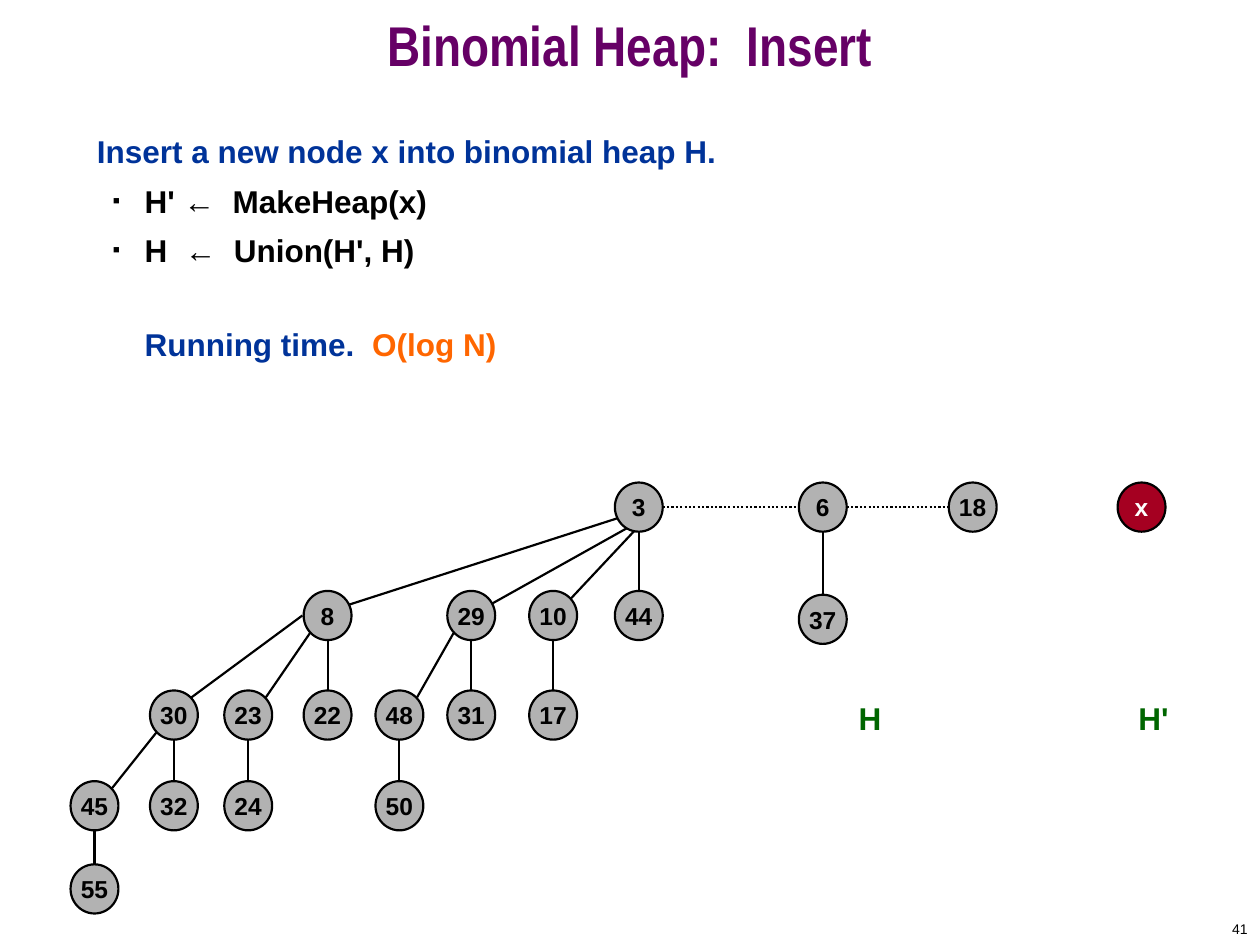
from dataclasses import dataclass

from lxml import etree
from pptx import Presentation
from pptx.dml.color import RGBColor
from pptx.enum.dml import MSO_LINE
from pptx.enum.shapes import MSO_CONNECTOR, MSO_SHAPE
from pptx.enum.text import MSO_ANCHOR, PP_ALIGN
from pptx.oxml.ns import qn
from pptx.util import Inches, Pt

STRAIGHT = MSO_CONNECTOR.STRAIGHT
OVAL = MSO_SHAPE.OVAL
DOTTED = MSO_LINE.ROUND_DOT
TOP, MIDDLE = MSO_ANCHOR.TOP, MSO_ANCHOR.MIDDLE
LEFT, CENTER, RIGHT = PP_ALIGN.LEFT, PP_ALIGN.CENTER, PP_ALIGN.RIGHT

BLACK, WHITE, GRAY, RED = "000000", "FFFFFF", "B2B2B2", "A50021"
PURPLE, BLUE, ORANGE, GREEN = "660066", "003399", "FF6600", "006600"
NODE_WIDTH, NODE_HEIGHT = 0.38, 0.39
LINE_WIDTH = 1.25

# Edge ends as offsets from a node's centre
UPPER_RIGHT, LOWER_LEFT = (0.14, -0.14), (-0.14, 0.14)
LEFT_SIDE = (-0.2, 0)

# Heap columns (left edges) and levels (top edges)
COLUMNS = {"a": 0.56, "b": 1.19, "c": 1.78, "d": 2.41, "e": 2.98, "f": 3.55,
           "g": 4.2, "h": 4.88, "i": 6.34, "j": 7.53, "x": 8.87}
ROOTS, LEVEL_1, LEVEL_2, LEVEL_3, LEVEL_4 = 3.83, 4.69, 5.48, 6.2, 6.86


@dataclass
class Span:
    text: str
    color: str
    size: int = 18
    font: str = "Arial"
    bold: bool = True


@dataclass
class Para:
    spans: list[Span]
    format: dict
    indent: float = 0
    bullet: bool = False


@dataclass
class Node:
    key: str
    column: str
    top: float
    parent: str = ""
    child_end: tuple[float, float] = UPPER_RIGHT
    parent_end: tuple[float, float] = LOWER_LEFT
    fill: str = GRAY
    color: str = BLACK

    @property
    def center(self) -> tuple[float, float]:
        return COLUMNS[self.column] + NODE_WIDTH / 2, self.top + NODE_HEIGHT / 2


NODES = [
    Node("3", "h", ROOTS),
    Node("6", "i", ROOTS),
    Node("18", "j", ROOTS),
    Node("8", "d", LEVEL_1, "3", (0.09, -0.06), (-0.02, 0.04)),
    Node("29", "f", LEVEL_1, "3", (0.14, -0.08), (-0.01, 0.12)),
    Node("10", "g", LEVEL_1, "3", (0.09, -0.08), (0.01, 0.14)),
    Node("44", "h", LEVEL_1, "3"),
    Node("37", "i", 4.72, "6"),
    Node("30", "b", LEVEL_2, "8", parent_end=LEFT_SIDE),
    Node("23", "c", LEVEL_2, "8"),
    Node("22", "d", LEVEL_2, "8"),
    Node("48", "e", LEVEL_2, "29"),
    Node("31", "f", LEVEL_2, "29"),
    Node("17", "g", LEVEL_2, "10"),
    Node("45", "a", LEVEL_3, "30"),
    Node("32", "b", LEVEL_3, "30"),
    Node("24", "c", LEVEL_3, "23"),
    Node("50", "e", LEVEL_3, "48"),
    Node("55", "a", LEVEL_4, "45"),
    Node("x", "x", ROOTS, fill=RED, color=WHITE),
]
ROOT_LINKS = [("3", "6"), ("6", "18")]


def rgb(value: str) -> RGBColor:
    return RGBColor.from_string(value)


def set_values(target, values: dict) -> None:
    for name, value in values.items():
        setattr(target, name, value)


def add_bullet(properties) -> None:
    color = etree.SubElement(properties, qn("a:buClr"))
    etree.SubElement(color, qn("a:srgbClr"), val=BLACK)
    etree.SubElement(properties, qn("a:buSzPct"), val="35000")
    etree.SubElement(properties, qn("a:buFont"), typeface="Arial")
    etree.SubElement(properties, qn("a:buChar"), char="■")


def write(frame, paras: list[Para], anchor, wrap: bool = True) -> None:
    set_values(frame, {"word_wrap": wrap, "vertical_anchor": anchor})
    for index, para in enumerate(paras):
        paragraph = frame.paragraphs[0] if index == 0 else frame.add_paragraph()
        properties = paragraph._p.get_or_add_pPr()
        if para.indent:
            properties.set("marL", str(Inches(para.indent)))
            properties.set("indent", str(Inches(-0.25 if para.bullet else 0)))
        if para.bullet:
            add_bullet(properties)
        set_values(paragraph, para.format)
        for span in para.spans:
            run = paragraph.add_run()
            run.text = span.text
            set_values(run.font, {"name": span.font, "size": Pt(span.size), "bold": span.bold})
            run.font.color.rgb = rgb(span.color)


def add_text(page, left: float, top: float, width: float, height: float,
             paras: list[Para], anchor=TOP) -> None:
    box = page.shapes.add_textbox(Inches(left), Inches(top), Inches(width), Inches(height))
    write(box.text_frame, paras, anchor)


def add_line(page, start: tuple[float, float], end: tuple[float, float], dash=None) -> None:
    line = page.shapes.add_connector(STRAIGHT, *map(Inches, (*start, *end)))
    line.line.color.rgb = rgb(BLACK)
    set_values(line.line, {"width": Pt(LINE_WIDTH), "dash_style": dash})
    etree.SubElement(line._element.spPr, qn("a:effectLst"))


def shifted(node: Node, offset: tuple[float, float]) -> tuple[float, float]:
    x, y = node.center
    return x + offset[0], y + offset[1]


def add_edge(page, child: Node, parent: Node) -> None:
    child_end, parent_end = child.child_end, child.parent_end
    if child.column == parent.column:
        child_end, parent_end = (0, -NODE_HEIGHT / 2), (0, NODE_HEIGHT / 2)
    add_line(page, shifted(child, child_end), shifted(parent, parent_end))


def add_node(page, node: Node) -> None:
    circle = page.shapes.add_shape(OVAL, Inches(COLUMNS[node.column]), Inches(node.top),
                                   Inches(NODE_WIDTH), Inches(NODE_HEIGHT))
    circle.shadow.inherit = False
    circle.fill.solid()
    circle.fill.fore_color.rgb = rgb(node.fill)
    circle.line.color.rgb = rgb(BLACK)
    circle.line.width = Pt(LINE_WIDTH)
    label = Para([Span(node.key, node.color, 14)], {"alignment": CENTER})
    write(circle.text_frame, [label], MIDDLE, wrap=False)


def main() -> None:
    deck = Presentation()
    set_values(deck, {"slide_width": Inches(10), "slide_height": Inches(7.5)})
    page = deck.slides.add_slide(deck.slide_layouts[6])

    # Slide number and title
    number = Para([Span("41", BLACK, 8, bold=False)], {"alignment": RIGHT})
    add_text(page, 7.92, 7.25, 2.08, 0.25, [number], MIDDLE)
    title = Para([Span("Binomial Heap:  Insert", PURPLE, 32, "Arial Narrow")],
                 {"alignment": CENTER, "line_spacing": 0.7})
    add_text(page, 0, 0, 10, 0.83, [title], MIDDLE)

    # Algorithm steps and running time
    step = {"alignment": LEFT, "line_spacing": 1.1, "space_before": Pt(4.5)}
    add_text(page, 0.67, 1, 8.58, 5.92, [
        Para([Span("Insert a new node x into binomial heap H.", BLUE)], {"alignment": LEFT}),
        Para([Span("H' ←  MakeHeap(x)", BLACK)], step, 0.38, True),
        Para([Span("H  ←  Union(H', H)", BLACK)], step, 0.38, True),
        Para([Span("Running time.  ", BLUE), Span("O(log N)", ORANGE)],
             {"alignment": LEFT, "space_before": Pt(32)}, 0.38),
    ])

    # Heap: root list and edges first, then the nodes over them
    by_key = {node.key: node for node in NODES}
    for first, second in ROOT_LINKS:
        add_line(page, shifted(by_key[first], (NODE_WIDTH / 2, 0)),
                 shifted(by_key[second], (-NODE_WIDTH / 2, 0)), DOTTED)
    for node in NODES:
        if node.parent:
            add_edge(page, node, by_key[node.parent])
    for node in NODES:
        add_node(page, node)

    # Heap names
    for name, left in (("H", 6.56), ("H'", 8.81)):
        add_text(page, left, 5.5, 0.69, 0.4, [Para([Span(name, GREEN)], {"alignment": CENTER})])

    deck.save("out.pptx")


if __name__ == "__main__":
    main()
